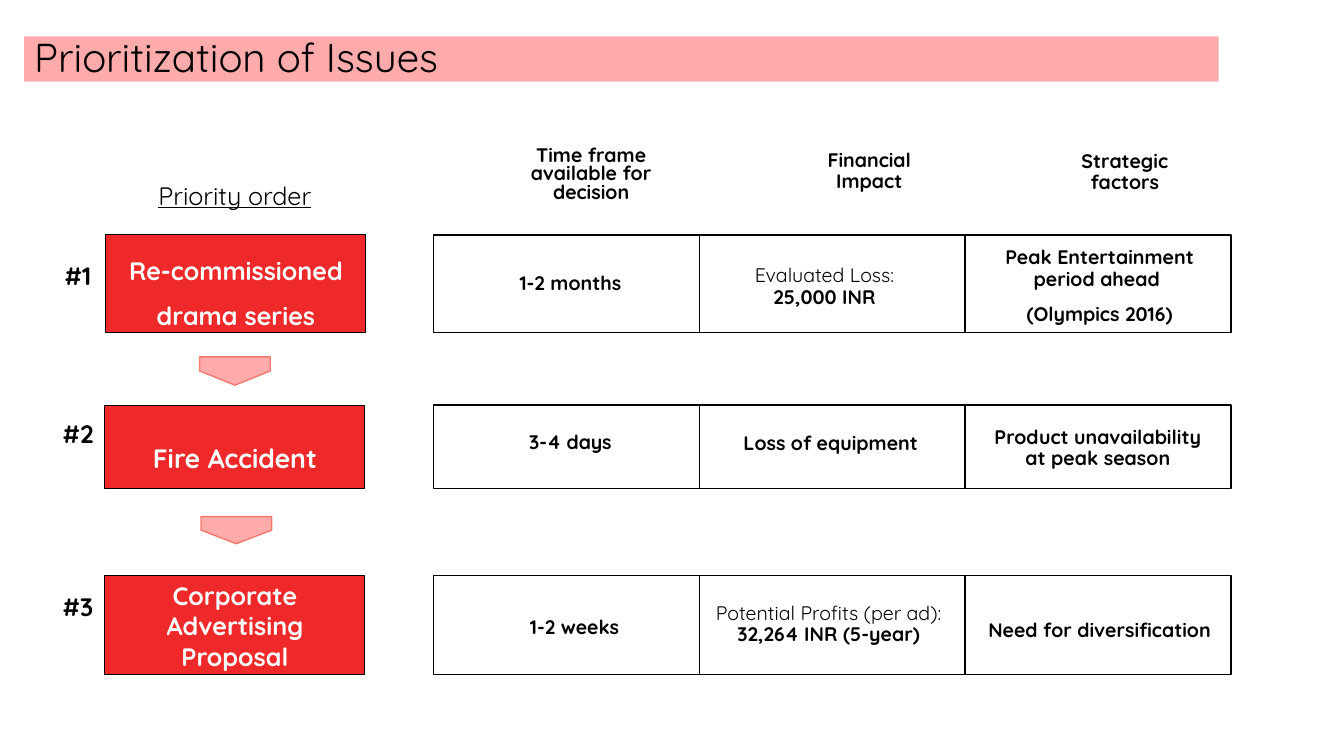
"""Build the slide that ranks three issues by priority."""
from pptx import Presentation
from pptx.dml.color import RGBColor
from pptx.enum.shapes import MSO_SHAPE
from pptx.enum.text import MSO_ANCHOR, PP_ALIGN
from pptx.util import Pt

RECT, ARROW = MSO_SHAPE.RECTANGLE, MSO_SHAPE.PENTAGON
TOP, MIDDLE = MSO_ANCHOR.TOP, MSO_ANCHOR.MIDDLE
LEFT, CENTER = PP_ALIGN.LEFT, PP_ALIGN.CENTER
BLACK, WHITE, RED, PINK, CORAL = "000000", "FFFFFF", "EF2929", "FFABAB", "F4796C"


def rgb(color):
    return RGBColor.from_string(color)


class Deck:
    font = "Quicksand"

    def __init__(self, width, height):
        self.prs = Presentation()
        self.prs.slide_width, self.prs.slide_height = Pt(width), Pt(height)
        self.s = self.prs.slides.add_slide(self.prs.slide_layouts[6])

    def shape(self, box, kind=RECT, fill=None, line=None, weight=1, rotation=0):
        sp = self.s.shapes.add_shape(kind, *map(Pt, box))
        sp.shadow.inherit = False
        sp.rotation = rotation
        if fill:
            sp.fill.solid()
            sp.fill.fore_color.rgb = rgb(fill)
        else:
            sp.fill.background()
        if line:
            sp.line.color.rgb = rgb(line)
            sp.line.width = Pt(weight)
        else:
            sp.line.fill.background()
        return sp

    def label(self, sp, text, size=14, color=BLACK, bold=True, underline=False,
              spacing=0.9, align=CENTER, anchor=TOP, lead=None):
        tf = sp.text_frame
        tf.word_wrap = True
        tf.vertical_anchor = anchor
        for i, line in enumerate(text.split("\n")):
            p = tf.add_paragraph() if i else tf.paragraphs[0]
            p.alignment, p.line_spacing = align, spacing
            p.space_before = Pt(10 if i else 0)
            p.font.name, p.font.size = self.font, Pt(size)
            p.font.color.rgb = rgb(color)
            p.font.underline = underline
            if lead:
                p.add_run().text = lead
                p.add_line_break()
                r = p.add_run()
                r.text, r.font.bold = line, bold
            else:
                p.font.bold = bold
                p.text = line
        return tf

    def text(self, box, text, **style):
        return self.label(self.s.shapes.add_textbox(*map(Pt, box)), text, **style)


def main():
    deck = Deck(960, 540)
    title = deck.shape((17.3, 25.9, 853.2, 32.4), fill=PINK)
    deck.label(title, "Prioritization of Issues", size=28.8, bold=False,
               align=LEFT, anchor=MIDDLE)

    deck.text((355.7, 101.5, 133.2, 51.8), "Time frame available for decision", spacing=0.8)
    deck.text((563, 103.7, 115.9, 41), "Financial Impact")
    deck.text((760.3, 104.4, 86.4, 32.4), "Strategic\vfactors")
    deck.text((72.7, 127.4, 190, 21.6), "Priority order", size=18, bold=False, underline=True)

    rows = [
        (167.8, 69.8, 75.6, 185, "Re-commissioned drama series", 18, 1.5),
        (289.4, 59.8, 74.9, 297.4, "Fire Accident", 19, 2),
        (411.1, 70.6, 74.9, 421.2, "Corporate Advertising Proposal", 18, 1),
    ]
    for rank, (top, height, left, rank_top, issue, size, spacing) in enumerate(rows, 1):
        card = deck.shape((left, top, 185.8, height), fill=RED, line=BLACK, weight=0.75)
        deck.label(card, issue, size=size, color=WHITE, spacing=spacing)
        deck.text((37.4, rank_top, 36.7, 50), f"#{rank}", size=18)
        for col in range(3):
            deck.shape((309.6 + 189.9 * col, top, 189.9, height), line=BLACK)

    for box in [(157.7, 239.8, 20.2, 50.4), (159.1, 353.5, 19.4, 50.4)]:
        deck.shape(box, ARROW, fill=PINK, line=CORAL, rotation=90)

    deck.text((312.5, 192.2, 190, 32.4), "1-2 months")
    deck.text((493.9, 186.5, 190, 32.4), "25,000 INR", lead="Evaluated Loss:")
    deck.text((690.5, 173.5, 190, 32.4), "Peak Entertainment period ahead \n(Olympics 2016)")
    deck.text((312.5, 305.3, 190, 28), "3-4 days")
    deck.text((500.4, 306, 190, 28), "Loss of equipment ")
    deck.text((684.7, 301.7, 203, 41.8), "Product unavailability \vat peak season ")
    deck.text((315.4, 437.8, 190, 33), "1-2 weeks")
    profit = deck.text((487.4, 419.8, 213.1, 53.3), "32,264 INR (5-year) ",
                       lead="Potential Profits (per ad): ", anchor=MIDDLE)
    profit.margin_left = profit.margin_right = Pt(8.6)
    profit.margin_top = profit.margin_bottom = Pt(1.4)
    deck.text((684, 439.9, 203, 49.7), "Need for diversification")

    deck.prs.save("out.pptx")


if __name__ == "__main__":
    main()
